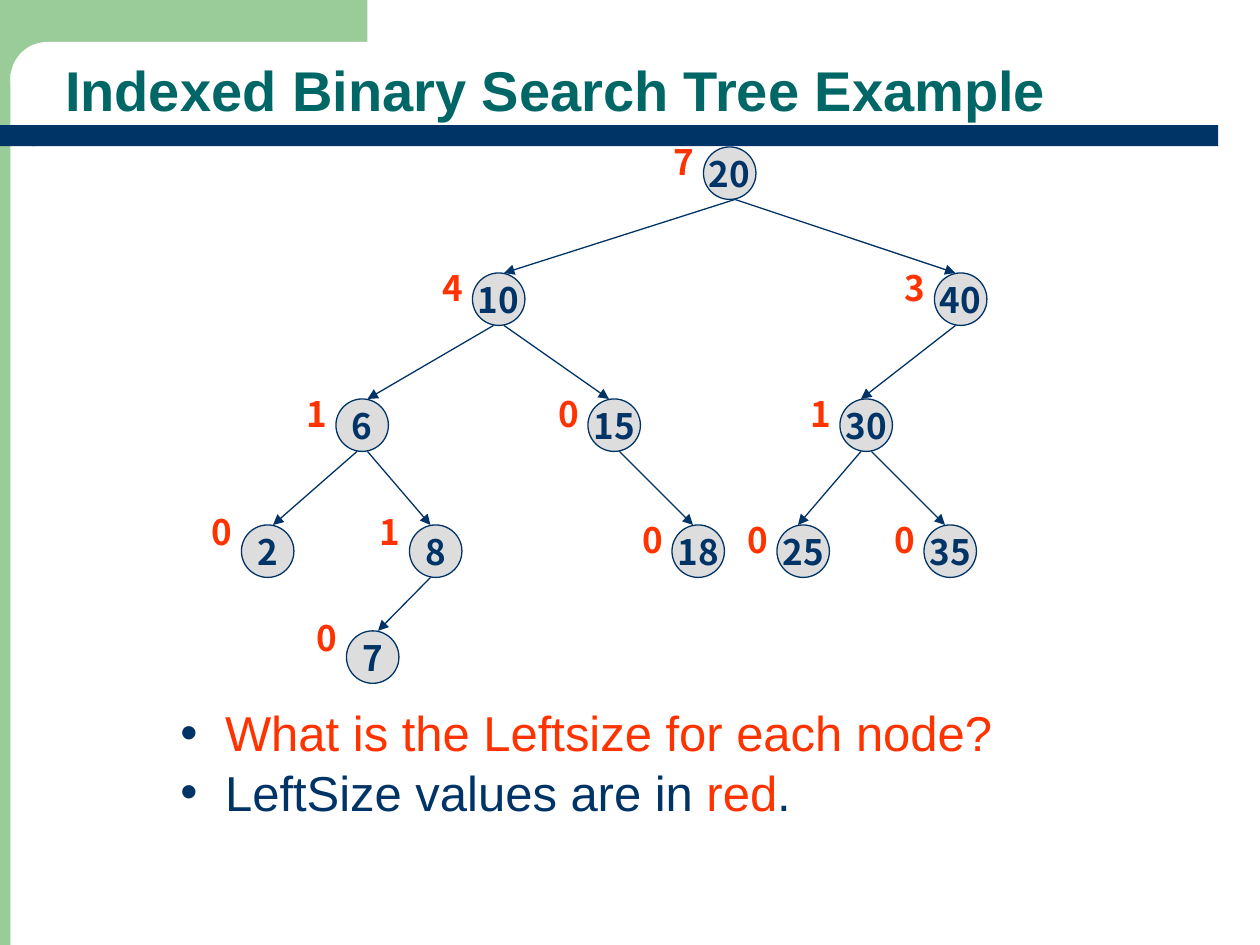
from dataclasses import dataclass

from lxml.etree import SubElement
from pptx import Presentation
from pptx.dml.color import RGBColor
from pptx.enum.shapes import MSO_CONNECTOR, MSO_SHAPE
from pptx.enum.text import MSO_ANCHOR, MSO_AUTO_SIZE, PP_ALIGN
from pptx.oxml.ns import qn
from pptx.util import Pt

HUES = {
    "green": "99CC99",
    "teal": "006666",
    "navy": "003366",
    "red": "FF3300",
    "gray": "DDDDDD",
    "white": "FFFFFF",
}
SANS = "Arial"
BOLD = "Noto Sans CJK KR"
SIZE = 30  # node diameter


@dataclass(frozen=True)
class Node:
    """A tree node; out and into shift the two ends of its parent's arrow."""
    key: int
    left: float
    top: float
    count: int
    parent: int | None = None
    out: float = 0
    into: float = 0
    rise: float = 7

    @property
    def mid(self) -> float:
        return self.left + SIZE / 2


@dataclass(frozen=True)
class Panel:
    kind: MSO_SHAPE
    box: tuple[float, float, float, float]
    hue: str
    round: float | None = None
    turn: float = 0


PANELS = [
    Panel(MSO_SHAPE.RECTANGLE, (-42, 0, 48, 540), "green"),
    Panel(MSO_SHAPE.RECTANGLE, (-12, 0, 222, 42), "green"),
    Panel(MSO_SHAPE.ROUNDED_RECTANGLE, (6, 24, 402, 42), "white", round=0.5),
    Panel(MSO_SHAPE.ROUNDED_RECTANGLE, (18.5, 71.5, 677.5, 12), "navy", round=0),
    Panel(MSO_SHAPE.FLOWCHART_DELAY, (-18, 71.5, 38, 12), "navy", turn=180),
]

NODES = [
    Node(20, 402, 84, 7),
    Node(10, 270, 156, 4, parent=20, out=3, into=3),
    Node(40, 534, 156, 3, parent=20, out=3, into=-3),
    Node(6, 192, 228, 1, parent=10, out=-3, into=3),
    Node(15, 336, 228, 0, parent=10, out=3, into=-3),
    Node(30, 480, 228, 1, parent=40, out=-3, into=-3),
    Node(2, 138, 300, 0, parent=6, out=-3, into=3, rise=12),
    Node(8, 234, 300, 1, parent=6, out=3, into=-3, rise=12),
    Node(18, 384, 300, 0, parent=15, out=3, into=-3),
    Node(25, 444, 300, 0, parent=30, out=-3, into=-3),
    Node(35, 528, 300, 0, parent=30, out=3, into=-3),
    Node(7, 198, 360.5, 0, parent=8, out=-3, into=3, rise=12),
]

NOTES = [
    [("What is the Leftsize for each node?", "red")],
    [("LeftSize values are in ", "navy"), ("red", "red"), (".", "navy")],
]


def color(name: str) -> RGBColor:
    return RGBColor.from_string(HUES[name])


def write(para, text: str, *, size: float, hue: str, font: str = SANS,
          bold: bool = False, align=PP_ALIGN.LEFT) -> None:
    para.alignment = align
    run = para.add_run()
    run.text = text
    run.font.name = font
    run.font.size = Pt(size)
    run.font.bold = bold
    run.font.color.rgb = color(hue)


def add_form(slide, kind: MSO_SHAPE, box, hue: str):
    """Add a filled preset shape without shadow or outline."""
    form = slide.shapes.add_shape(kind, *map(Pt, box))
    form.shadow.inherit = False
    form.fill.solid()
    form.fill.fore_color.rgb = color(hue)
    form.line.fill.background()
    return form


def draw_panel(slide, panel: Panel) -> None:
    form = add_form(slide, panel.kind, panel.box, panel.hue)
    form.rotation = panel.turn
    if panel.round is not None:
        form.adjustments[0] = panel.round


def draw_title(slide, text: str) -> None:
    title = slide.shapes.title
    title.left, title.top, title.width, title.height = map(Pt, (30, 26, 660, 48))
    frame = title.text_frame
    frame.auto_size = MSO_AUTO_SIZE.NONE
    frame.vertical_anchor = MSO_ANCHOR.BOTTOM
    para = frame.paragraphs[0]
    para.line_spacing = 0.9
    write(para, text, size=32, hue="teal", bold=True)


def set_bullet(para, indent: float) -> None:
    props = para._p.get_or_add_pPr()
    props.set("marL", str(Pt(indent)))
    props.set("indent", str(Pt(-indent)))
    tint = SubElement(props, qn("a:buClr"))
    SubElement(tint, qn("a:srgbClr"), val=HUES["navy"])
    SubElement(props, qn("a:buFont"), typeface=SANS)
    SubElement(props, qn("a:buChar"), char="•")


def draw_notes(slide) -> None:
    frame = slide.shapes.add_textbox(*map(Pt, (96, 398, 495, 75))).text_frame
    frame.word_wrap = True
    for i, runs in enumerate(NOTES):
        para = frame.add_paragraph() if i else frame.paragraphs[0]
        para.line_spacing = Pt(33.75)
        set_bullet(para, 25.5)
        for text, hue in runs:
            write(para, text, size=28, hue=hue)


def draw_node(slide, node: Node) -> None:
    disc = add_form(slide, MSO_SHAPE.OVAL, (node.left, node.top, SIZE, SIZE), "gray")
    disc.line.color.rgb = color("navy")
    disc.line.width = Pt(0.75)
    frame = disc.text_frame
    frame.word_wrap = False
    frame.vertical_anchor = MSO_ANCHOR.MIDDLE
    write(frame.paragraphs[0], str(node.key), size=20, hue="navy", font=BOLD,
          bold=True, align=PP_ALIGN.CENTER)


def draw_count(slide, node: Node) -> None:
    box = (node.left - 24, node.top - node.rise, 26, 31.5)
    frame = slide.shapes.add_textbox(*map(Pt, box)).text_frame
    frame.word_wrap = False
    frame.auto_size = MSO_AUTO_SIZE.SHAPE_TO_FIT_TEXT
    write(frame.paragraphs[0], str(node.count), size=20, hue="red", font=BOLD,
          bold=True)


def draw_arrow(slide, parent: Node, child: Node) -> None:
    ends = (parent.mid + child.out, parent.top + SIZE,
            child.mid + child.into, child.top)
    arrow = slide.shapes.add_connector(MSO_CONNECTOR.STRAIGHT, *map(Pt, ends))
    arrow.line.color.rgb = color("navy")
    arrow.line.width = Pt(0.75)
    SubElement(arrow.line._get_or_add_ln(), qn("a:tailEnd"), type="triangle")
    SubElement(arrow._element.spPr, qn("a:effectLst"))


def main() -> None:
    deck = Presentation()
    deck.slide_width, deck.slide_height = Pt(720), Pt(540)
    slide = deck.slides.add_slide(deck.slide_layouts[5])
    for panel in PANELS:
        draw_panel(slide, panel)
    title = slide.shapes.title
    title._element.getparent().append(title._element)  # bring to front
    draw_title(slide, "Indexed Binary Search Tree Example")
    draw_notes(slide)
    tree = {node.key: node for node in NODES}
    for node in NODES:
        draw_node(slide, node)
        if node.parent is not None:
            draw_arrow(slide, tree[node.parent], node)
    for node in NODES:
        draw_count(slide, node)
    deck.save("out.pptx")


if __name__ == "__main__":
    main()
